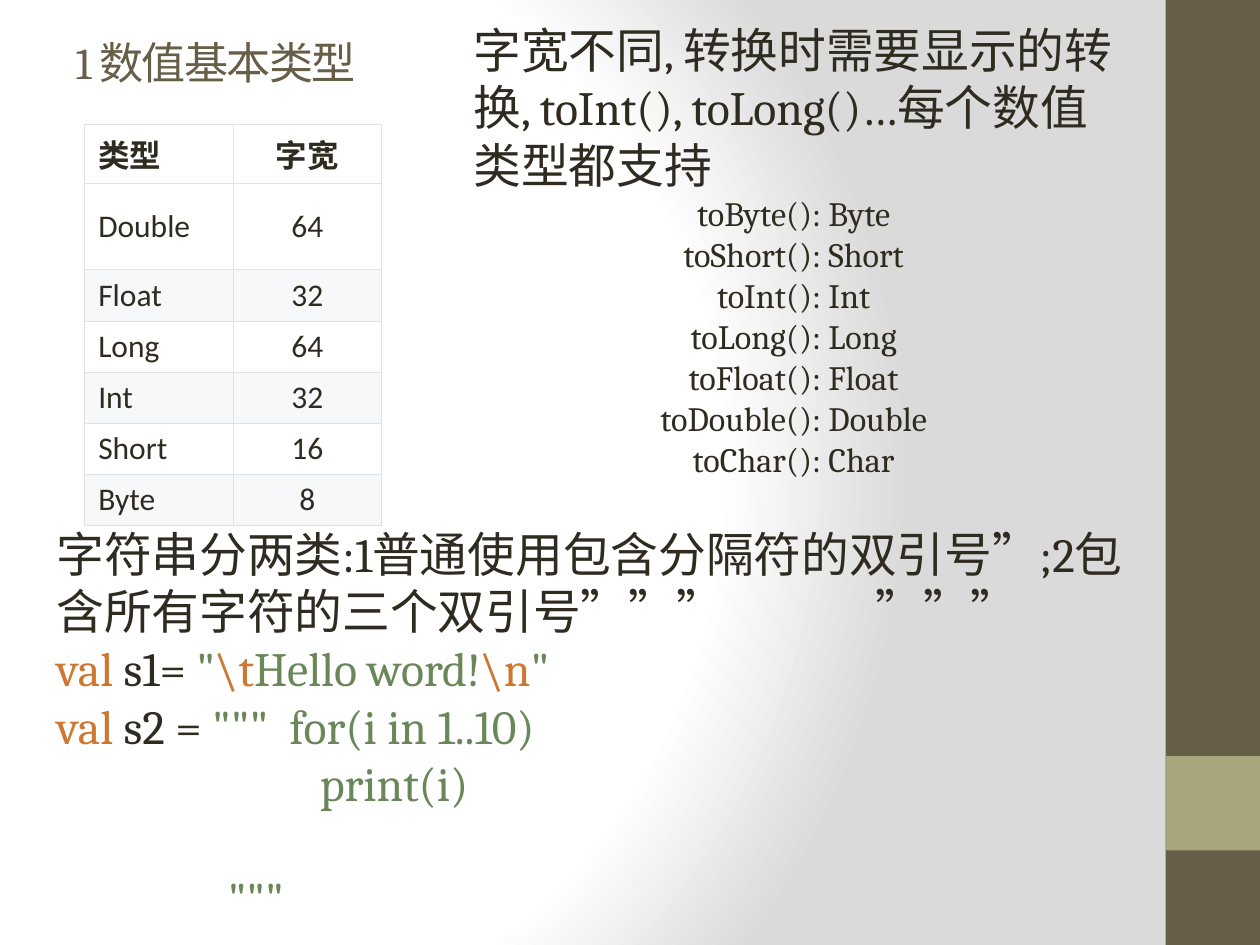
from pptx import Presentation
from pptx.dml.color import RGBColor
from pptx.enum.shapes import MSO_SHAPE
from pptx.enum.text import MSO_ANCHOR, MSO_AUTO_SIZE, PP_ALIGN
from pptx.oxml import parse_xml
from pptx.oxml.ns import nsdecls
from pptx.util import Inches, Pt

COLORS = {
    "brown": "675E47", "olive": "A9A57C", "text": "2F2B20",
    "keyword": "CC7832", "string": "6A8759",
    "border": "DFE2E5", "white": "FFFFFF", "band": "F6F8FA",
}


def add_text(p, text, size=27.3, color="text", font="Cambria", bold=False):
    """Add a formatted run to a paragraph and return it."""
    r = p.add_run()
    r.text = text
    r.font.size = Pt(size)
    r.font.name = font
    r.font.bold = bold
    r.font.color.rgb = RGBColor.from_string(COLORS[color])
    return r


def add_box(left, top, width, height):
    """Add a wrapping, middle-anchored text box and return its text frame."""
    box = slide.shapes.add_textbox(
        Inches(left), Inches(top), Inches(width), Inches(height))
    tf = box.text_frame
    tf.word_wrap = True
    tf.auto_size = MSO_AUTO_SIZE.NONE
    tf.vertical_anchor = MSO_ANCHOR.MIDDLE
    return tf


prs = Presentation()
prs.slide_width, prs.slide_height = Inches(10), Inches(7.5)
slide = prs.slides.add_slide(prs.slide_layouts[5])

# Background: radial gradient
fill = slide.background.fill
fill.gradient()
bg_pr = slide.element.cSld.bg.bgPr
stops = "".join(
    f'<a:gs pos="{pos}000"><a:srgbClr val="{color}"/></a:gs>'
    for pos, color in [(0, "FFFFFF"), (75, "FFFFFF"), (100, "DADADA")])
bg_pr.replace(bg_pr[0], parse_xml(
    f'<a:gradFill {nsdecls("a")} rotWithShape="1"><a:gsLst>{stops}</a:gsLst>'
    '<a:path path="circle"><a:fillToRect l="20000" t="50000" r="100000" '
    'b="50000"/></a:path></a:gradFill>'))

# Side band
for top, height, color in [(0, 7.5, "brown"), (6, 0.75, "olive")]:
    sp = slide.shapes.add_shape(
        MSO_SHAPE.RECTANGLE, Inches(9.25), Inches(top), Inches(0.75), Inches(height))
    sp.shadow.inherit = False
    sp.fill.solid()
    sp.fill.fore_color.rgb = RGBColor.from_string(COLORS[color])
    sp.line.fill.background()

# Title
title = slide.shapes.title
title.left, title.top = Inches(0.5), Inches(0.3)
title.width, title.height = Inches(4.03), Inches(0.38)
tf = title.text_frame
tf.auto_size = MSO_AUTO_SIZE.NONE
tf.vertical_anchor = MSO_ANCHOR.MIDDLE
p = tf.paragraphs[0]
p.alignment = PP_ALIGN.LEFT
r = add_text(p, "1 数值基本类型", size=25.2, color="brown")
r.font._element.set("spc", "-100")

# Table of type widths
rows = [("类型", "字宽"), ("Double", "64"), ("Float", "32"), ("Long", "64"),
        ("Int", "32"), ("Short", "16"), ("Byte", "8")]
table = slide.shapes.add_table(
    len(rows), 2, Inches(0.67), Inches(0.99), Inches(2.36), Inches(3.03)).table
table.first_row = table.horz_banding = False
for col in table.columns:
    col.width = Inches(1.18)
for i, row in enumerate(rows):
    table.rows[i].height = Inches(0.69 if i == 1 else 0.39)
    band = "band" if i and i % 2 == 0 else "white"
    for j, text in enumerate(row):
        cell = table.cell(i, j)
        cell.vertical_anchor = MSO_ANCHOR.MIDDLE
        cell.margin_left = cell.margin_right = Inches(0.11)
        cell.margin_top = cell.margin_bottom = Inches(0.05)
        tc_pr = cell._tc.get_or_add_tcPr()
        for side in ("lnL", "lnR", "lnT", "lnB"):
            tc_pr.append(parse_xml(
                f'<a:{side} {nsdecls("a")} w="7620"><a:solidFill><a:srgbClr '
                f'val="{COLORS["border"]}"/></a:solidFill></a:{side}>'))
        cell.fill.solid()
        cell.fill.fore_color.rgb = RGBColor.from_string(COLORS[band])
        p = cell.text_frame.paragraphs[0]
        p.alignment = PP_ALIGN.CENTER if j else PP_ALIGN.LEFT
        add_text(p, text, size=18, font="Calibri", bold=i == 0)

# Conversions
tf = add_box(3.66, 0.44, 5.28, 3.54)
tf.margin_bottom = Inches(0.5)
add_text(tf.paragraphs[0],
         "字宽不同, 转换时需要显示的转换, toInt(), toLong()…每个数值类型都支持")
for kind in ["Byte", "Short", "Int", "Long", "Float", "Double", "Char"]:
    p = tf.add_paragraph()
    p.alignment = PP_ALIGN.CENTER
    add_text(p, f"to{kind}(): {kind}", size=19.5)

# Strings
tf = add_box(0.35, 4.22, 8.74, 3.07)
p = tf.paragraphs[0]
add_text(p, "字符串分两类:1普通使用包含分隔符的双引号”;2包含所有字符的三个双引号”””\t”””")
p._p.get_or_add_pPr().append(parse_xml(
    f'<a:tabLst {nsdecls("a")}><a:tab pos="{Inches(6.5)}" algn="l"/></a:tabLst>'))

# Each code line: left indent in inches, space before in points, runs
code = [
    (0, 0, [("val ", "keyword"), ("s1= ", "text"), ('"', "string"),
            ("\\t", "keyword"), ("Hello word!", "string"),
            ("\\n", "keyword"), ('"', "string")]),
    (0, 0, [("val ", "keyword"), ("s2 = ", "text"),
            ('"""  for(i in 1..10)', "string")]),
    (2.09, 0, [("print(i)", "string")]),
    (1.36, 32.7, [('"""', "string")]),
]
for indent, space, runs in code:
    p = tf.add_paragraph()
    p.space_before = Pt(space)
    p._p.get_or_add_pPr().set("marL", str(Inches(indent)))
    for text, color in runs:
        add_text(p, text, color=color)

prs.save("out.pptx")
